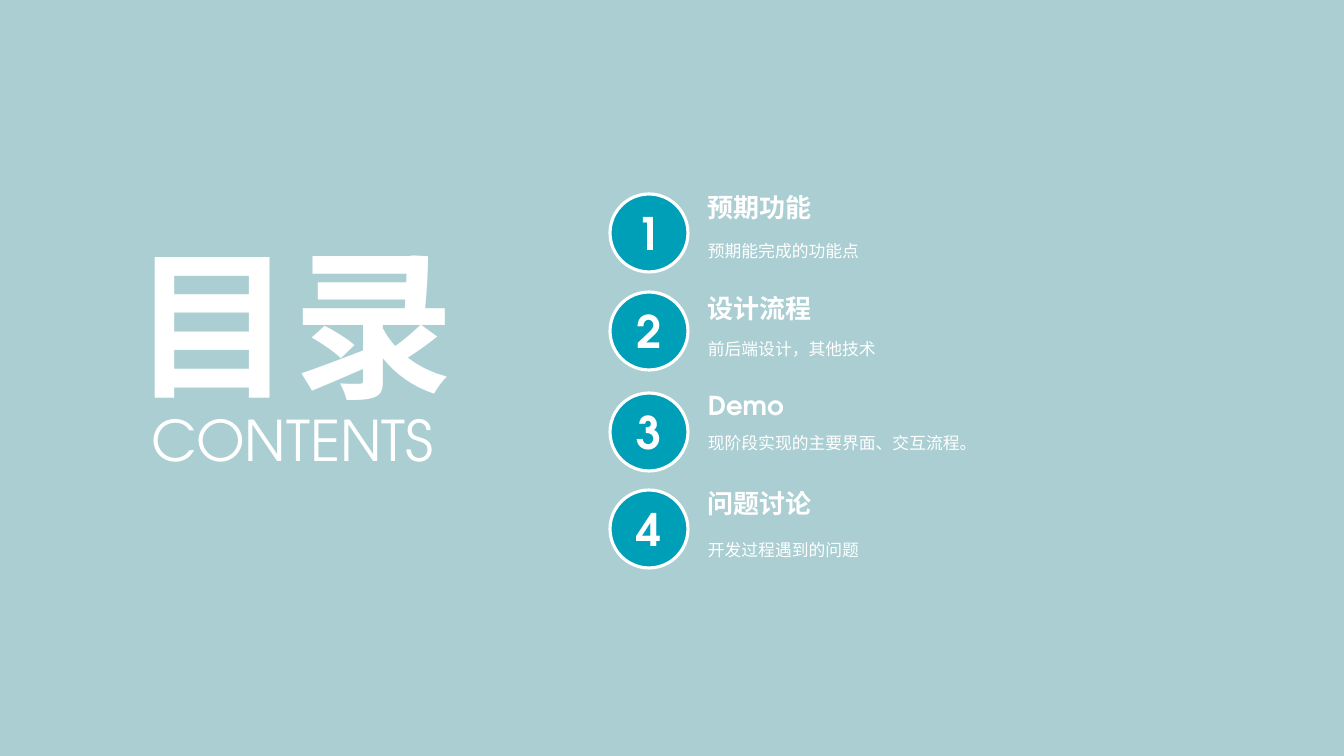
from lxml.etree import SubElement
from pptx import Presentation
from pptx.dml.color import RGBColor
from pptx.enum.shapes import MSO_SHAPE
from pptx.enum.text import MSO_ANCHOR, MSO_AUTO_SIZE, PP_ALIGN
from pptx.oxml.ns import qn
from pptx.util import Pt

# Content: heading, detail, and the top of circle, heading and detail in px
TITLE = "目录"
SUBTITLE = "CONTENTS"
TOPICS = [
    ("预期功能", "预期能完成的功能点", 194, 187, 230),
    ("设计流程", "前后端设计，其他技术", 292, 288, 328),
    ("Demo", "现阶段实现的主要界面、交互流程。", 393, 385, 422),
    ("问题讨论", "开发过程遇到的问题", 490, 483, 529),
]

BACKGROUND = RGBColor(0xAA, 0xCE, 0xD2)
TEAL = RGBColor(0x00, 0x9F, 0xB8)
WHITE = RGBColor(0xFF, 0xFF, 0xFF)
LATIN_FONT = "TeX Gyre Adventor"
CHINESE_FONT = "Noto Sans CJK SC"

PX = 914400 / 100.8
CIRCLE_LEFT, CIRCLE_SIZE = 610, 78
TEXT_LEFT = 698


def px(*lengths):
    return [round(length * PX) for length in lengths]


def write(shape, text, size, bold=False, font=LATIN_FONT, align=PP_ALIGN.LEFT,
          anchor=MSO_ANCHOR.TOP, wrap=True, spacing=1.0,
          fit=MSO_AUTO_SIZE.SHAPE_TO_FIT_TEXT):
    frame = shape.text_frame
    frame.word_wrap = wrap
    frame.auto_size = fit
    frame.vertical_anchor = anchor
    paragraph = frame.paragraphs[0]
    paragraph.alignment = align
    paragraph.line_spacing = spacing
    run = paragraph.add_run()
    run.text = text
    run.font.name = font
    run.font.size = Pt(size)
    run.font.bold = bold
    run.font.color.rgb = WHITE
    SubElement(run.font._element, qn("a:ea"), typeface=CHINESE_FONT)


prs = Presentation()
prs.slide_width, prs.slide_height = px(1344, 756)
slide = prs.slides.add_slide(prs.slide_layouts[5])
slide.background.fill.solid()
slide.background.fill.fore_color.rgb = BACKGROUND

# Title and subtitle
title = slide.shapes.title
title.left, title.top, title.width, title.height = px(120, 218, 346, 206)
write(title, TITLE, 115, bold=True, font=CHINESE_FONT, align=PP_ALIGN.CENTER,
      anchor=MSO_ANCHOR.MIDDLE, wrap=False, fit=MSO_AUTO_SIZE.NONE)
subtitle = slide.shapes.add_textbox(*px(140, 401, 305, 78))
write(subtitle, SUBTITLE, 40, align=PP_ALIGN.CENTER, wrap=False)

# Numbered topics
for number, (heading, detail, circle_top, heading_top, detail_top) in enumerate(TOPICS, 1):
    circle = slide.shapes.add_shape(
        MSO_SHAPE.OVAL, *px(CIRCLE_LEFT, circle_top, CIRCLE_SIZE, CIRCLE_SIZE))
    circle.shadow.inherit = False
    circle.fill.solid()
    circle.fill.fore_color.rgb = TEAL
    circle.line.color.rgb = WHITE
    circle.line.width = Pt(2.25)
    write(circle, str(number), 32, bold=True, align=PP_ALIGN.CENTER,
          anchor=MSO_ANCHOR.MIDDLE, fit=MSO_AUTO_SIZE.NONE)

    heading_box = slide.shapes.add_textbox(*px(TEXT_LEFT, heading_top, 140, 42))
    write(heading_box, heading, 18.6, bold=True)
    detail_box = slide.shapes.add_textbox(*px(TEXT_LEFT, detail_top, 468, 34))
    write(detail_box, detail, 12, spacing=1.3)

prs.save("out.pptx")
